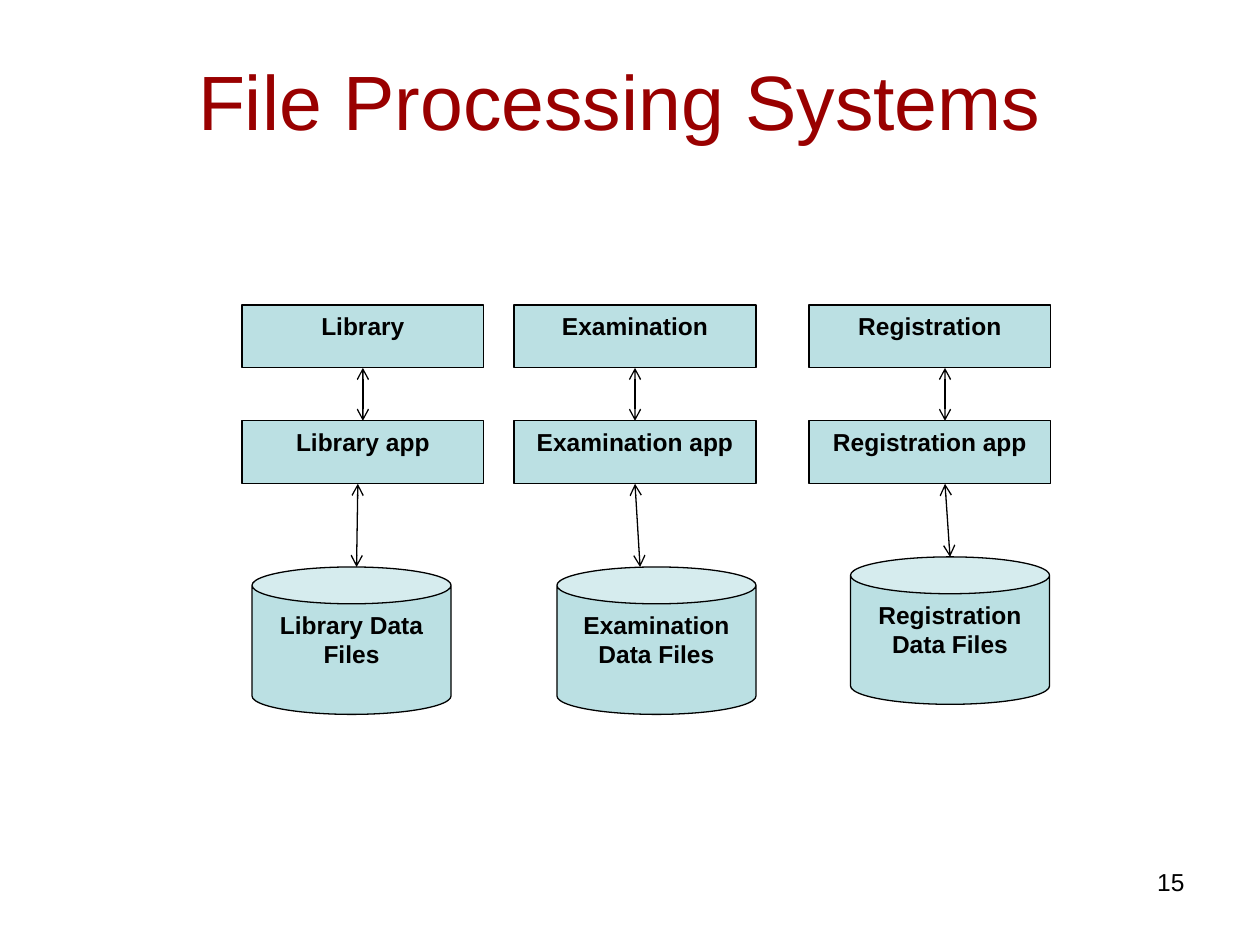
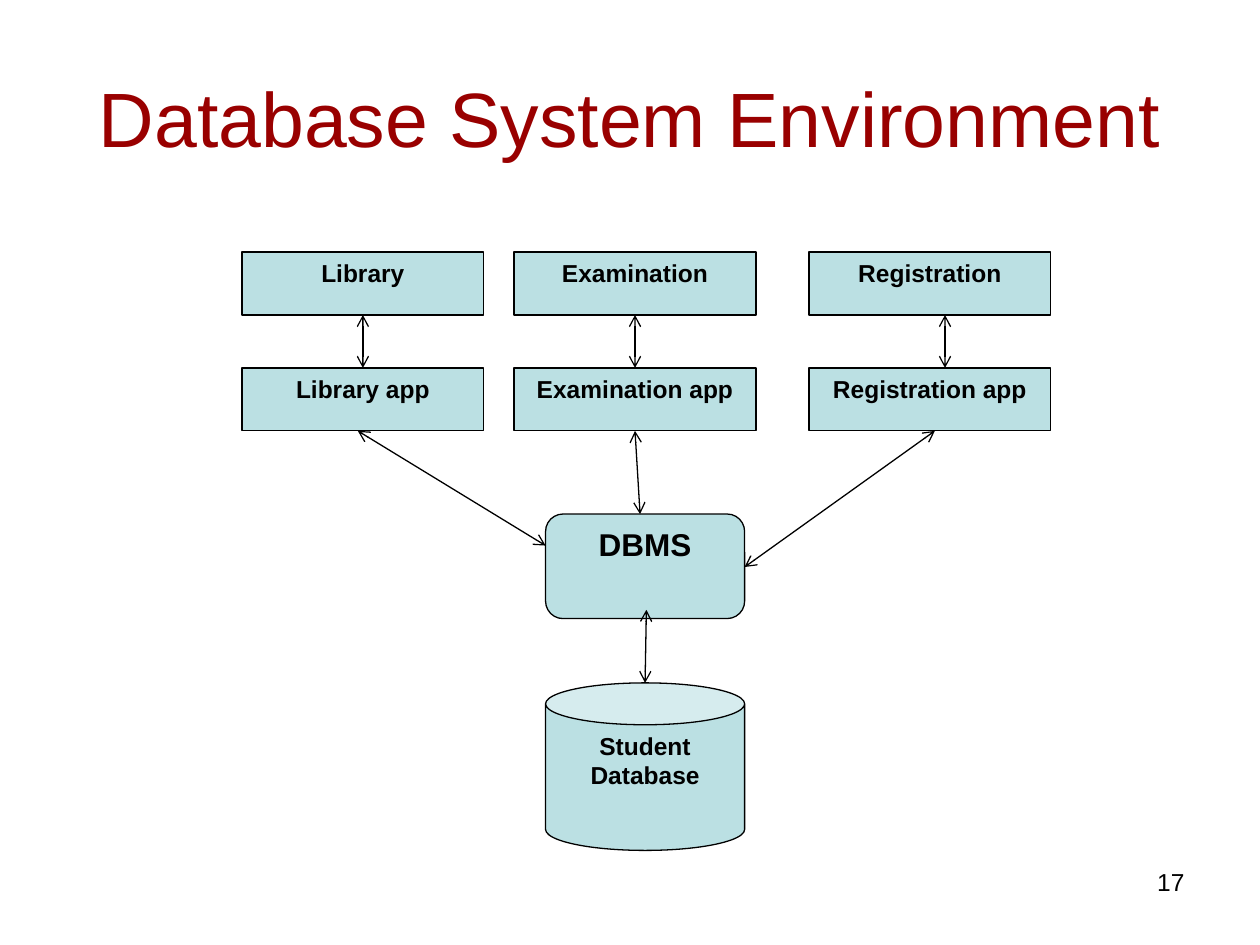
from pptx import Presentation
from pptx.dml.color import RGBColor
from pptx.enum.shapes import MSO_CONNECTOR as Link, MSO_SHAPE as Shape
from pptx.enum.text import MSO_ANCHOR as Anchor, MSO_AUTO_SIZE as Fit, PP_ALIGN as Align
from pptx.oxml.ns import qn
from pptx.util import Inches, Pt
from lxml.etree import SubElement

FONT = "Arial"
RED, BLACK, AQUA = "990000", "000000", "BBE0E3"
BOX_W, BOX_H, STEP = 1.92, 0.5, 0.92  # office boxes and their row pitch
CAN_W = 1.58
MID = BOX_W / 2
# name, left edge, offset of the upper arrow
UNITS = [("Library", 1.92, MID), ("Examination", 4.08, MID), ("Registration", 6.42, 1.08)]


def color(code):
    return RGBColor.from_string(code)


def write(frame, text, size, code, align, anchor=Anchor.TOP, bold=False):
    frame.text = text
    frame.word_wrap = True
    frame.auto_size = Fit.NONE
    frame.vertical_anchor = anchor
    para = frame.paragraphs[0]
    para.alignment = align
    font = para.font
    font.name, font.size, font.bold = FONT, Pt(size), bold
    font.color.rgb = color(code)


def place(box):
    return [Inches(n) for n in box]


def node(slide, kind, box, text, size=14):
    shape = slide.shapes.add_shape(kind, *place(box))
    shape.shadow.inherit = False
    shape.fill.solid()
    shape.fill.fore_color.rgb = color(AQUA)
    shape.line.color.rgb = color(BLACK)
    shape.line.width = Pt(0.75)
    write(shape.text_frame, text, size, BLACK, Align.CENTER, bold=True)
    return shape


def arrow(slide, start, end, above=None, below=None):
    """Two-headed arrow, joined to the box above and the box below if given."""
    line = slide.shapes.add_connector(Link.STRAIGHT, *place(start + end))
    line.line.color.rgb = color(BLACK)
    line.line.width = Pt(0.75)
    ln = line.line._get_or_add_ln()
    for tag in ("a:headEnd", "a:tailEnd"):
        SubElement(ln, qn(tag), type="arrow")
    SubElement(line._element.spPr, qn("a:effectLst"))
    if above:
        line.begin_connect(above, 2)
    if below:
        line.end_connect(below, 0)


def page(deck, title, box, number):
    slide = deck.slides.add_slide(deck.slide_layouts[5])
    head = slide.shapes.title
    head.left, head.top, head.width, head.height = place(box)
    write(head.text_frame, title, 44, RED, Align.CENTER, Anchor.MIDDLE)
    foot = slide.shapes.add_textbox(*place((7.17, 6.83, 2.33, 0.52)))
    write(foot.text_frame, number, 14, BLACK, Align.RIGHT)
    return slide


def offices(slide, top):
    """Three offices, each above its application; returns the applications."""
    apps = []
    for name, left, shift in UNITS:
        unit = node(slide, Shape.RECTANGLE, (left, top, BOX_W, BOX_H), name)
        app = node(slide, Shape.RECTANGLE, (left, top + STEP, BOX_W, BOX_H), f"{name} app")
        x = left + shift
        ends = (unit, app) if shift == MID else ()
        arrow(slide, (x, top + BOX_H), (x, top + STEP), *ends)
        apps.append(app)
    return apps


def files(deck):
    slide = page(deck, "File Processing Systems", (0.42, 0.17, 9, 1.25), "15")
    top = 2.42
    apps = offices(slide, top)
    base = top + STEP + BOX_H
    # Data files: left and top of the can, then arrow start and end
    stores = [(2, 4.5, 2.84, 2.83), (4.42, 4.5, 5.04, 5.08), (6.75, 4.42, 7.5, 7.54)]
    for (name, edge, _), app, (left, y, x1, x2) in zip(UNITS, apps, stores):
        node(slide, Shape.CAN, (left, y, CAN_W, 1.17), f"{name} Data Files")
        joined = app if x1 == round(edge + MID, 2) else None
        arrow(slide, (x1, base), (x2, y), joined)


def database(deck):
    slide = page(deck, "Database System Environment", (0.5, 0.3, 9, 1.25), "17")
    top = 2
    apps = offices(slide, top)
    base = top + STEP + BOX_H
    # Shared system and its store
    left, y, low = 4.33, 4.08, 5.42
    node(slide, Shape.ROUNDED_RECTANGLE, (left, y, CAN_W, 0.83), "DBMS", 18)
    node(slide, Shape.CAN, (left, low, CAN_W, 1.33), "Student Database")
    # Links into the system and down to the store
    arrow(slide, (2.84, base), (left, y + 0.25))
    arrow(slide, (5.04, base), (5.08, y), apps[1])
    arrow(slide, (7.42, base), (left + CAN_W, y + 0.42))
    arrow(slide, (5.13, 4.84), (5.12, low))


def main():
    deck = Presentation()
    deck.slide_width, deck.slide_height = Inches(10), Inches(7.5)
    files(deck)
    database(deck)
    deck.save("out.pptx")


if __name__ == "__main__":
    main()
